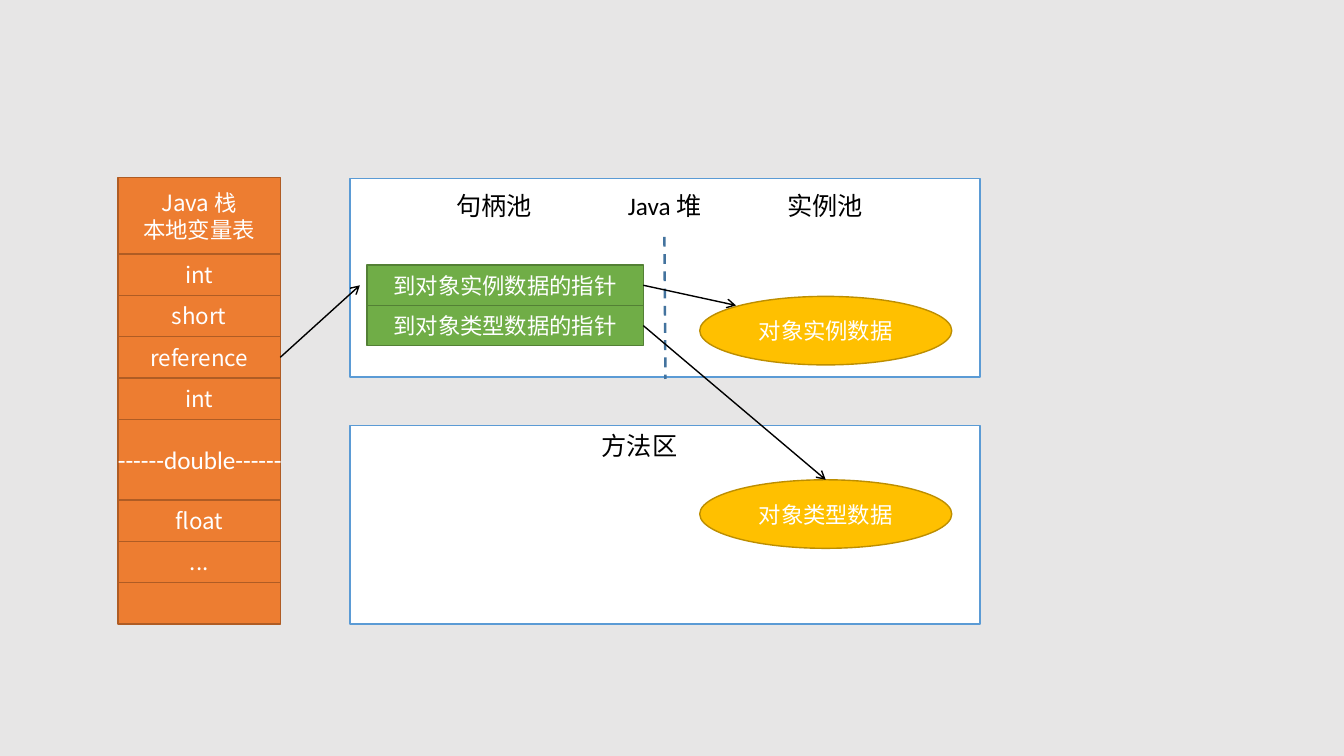
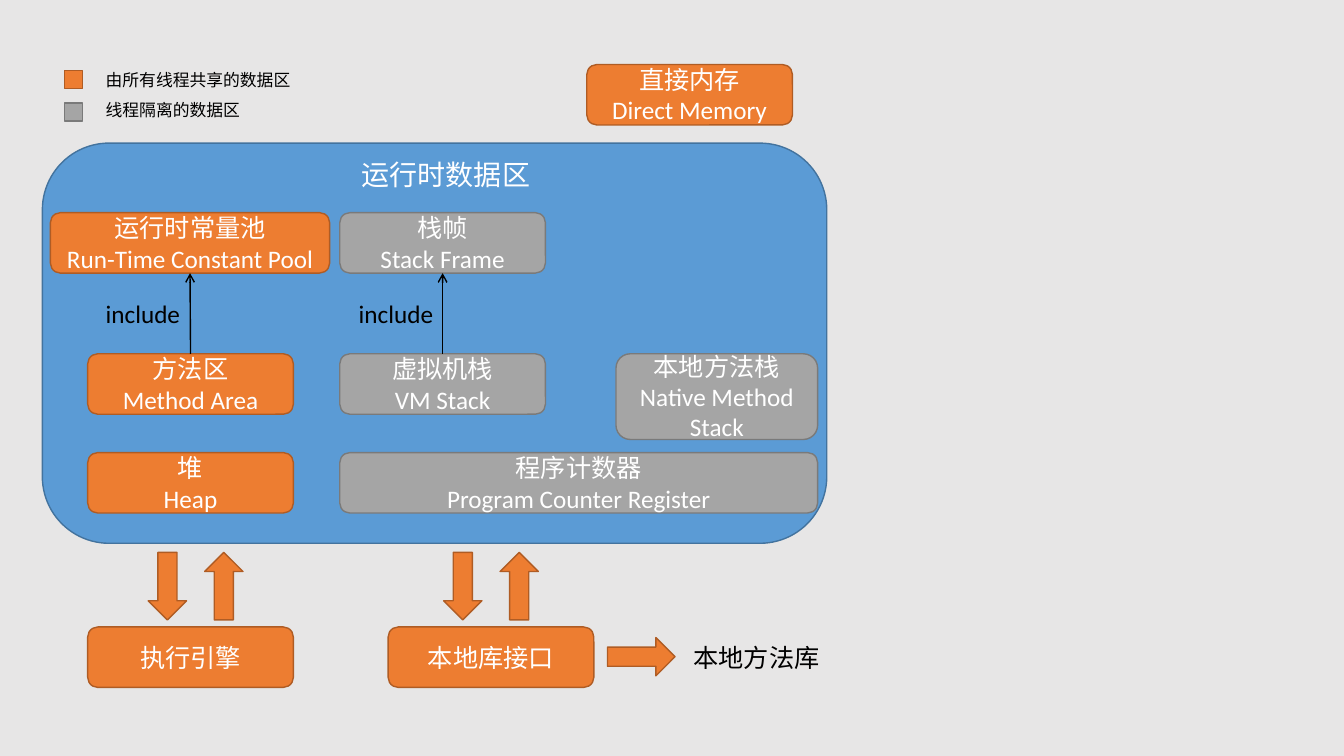
from lxml.etree import SubElement
from pptx import Presentation
from pptx.dml.color import RGBColor
from pptx.enum.dml import MSO_LINE
from pptx.enum.shapes import MSO_CONNECTOR, MSO_SHAPE
from pptx.enum.text import MSO_ANCHOR, PP_ALIGN
from pptx.oxml.ns import qn
from pptx.util import Inches, Pt

BLACK = RGBColor(0x00, 0x00, 0x00)
WHITE = RGBColor(0xFF, 0xFF, 0xFF)
PAPER = RGBColor(0xE7, 0xE6, 0xE6)
BLUE = RGBColor(0x5B, 0x9B, 0xD5)
DARK_BLUE = RGBColor(0x43, 0x73, 0x9E)
ORANGE = (RGBColor(0xED, 0x7D, 0x31), RGBColor(0xAF, 0x5C, 0x24))
GRAY = (RGBColor(0xA5, 0xA5, 0xA5), RGBColor(0x7A, 0x7A, 0x7A))
GREEN = (RGBColor(0x70, 0xAD, 0x47), RGBColor(0x53, 0x80, 0x35))
GOLD = (RGBColor(0xFF, 0xC0, 0x00), RGBColor(0xBD, 0x8E, 0x00))
PANEL = (WHITE, BLUE)
RUNTIME = (BLUE, DARK_BLUE)

LATIN_FONT = "Calibri"
STACK_FONT = "Noto Sans CJK SC"

ROW = 0.41
STACK_LEFT, STACK_TOP, STACK_WIDTH = 1.17, 1.76, 1.61
STACK_ROWS = [
    ("Java 栈\n本地变量表", 0.76), ("int", ROW), ("short", ROW),
    ("reference", ROW), ("int", ROW), ("", 0.8), ("float", ROW),
    ("...", ROW), ("", ROW),
]
REFERENCE_ROW = 3
PANEL_LEFT, PANEL_WIDTH, PANEL_HEIGHT = 3.47, 6.25, 1.97
HEAP_TOP, METHOD_TOP = 1.77, 4.22
HEAP_LABELS = [("句柄池", 4.43, 0.95), ("实例池", 7.71, 0.95)]
HANDLES = ["到对象实例数据的指针", "到对象类型数据的指针"]
HANDLE_LEFT, HANDLE_TOP, HANDLE_WIDTH, HANDLE_HEIGHT = 3.64, 2.63, 2.74, 0.4
OBJECTS = [("对象实例数据", 2.94), ("对象类型数据", 4.76)]

BOX_WIDTH, BOX_HEIGHT = 2.04, 0.6
LEFT_COLUMN, MIDDLE_COLUMN, RIGHT_EDGE = 0.87, 3.37, 8.11
TOP_ROW, AREA_ROW, BOTTOM_ROW, ENGINE_ROW = 2.11, 3.51, 4.49, 6.22
LEGEND = [("由所有线程共享的数据区", ORANGE, 0.7, 0.64, 2.03),
          ("线程隔离的数据区", GRAY, 1.02, 0.94, 1.53)]
BOXES = {
    "method area": ("方法区\nMethod Area", ORANGE, LEFT_COLUMN, AREA_ROW, BOX_WIDTH, BOX_HEIGHT),
    "vm stack": ("虚拟机栈\nVM Stack", GRAY, MIDDLE_COLUMN, AREA_ROW, BOX_WIDTH, BOX_HEIGHT),
    "native stack": ("本地方法栈\nNative Method Stack", GRAY, RIGHT_EDGE - 2, AREA_ROW, 2, 0.85),
    "heap": ("堆\nHeap", ORANGE, LEFT_COLUMN, BOTTOM_ROW, BOX_WIDTH, BOX_HEIGHT),
    "counter": ("程序计数器\nProgram Counter Register", GRAY, MIDDLE_COLUMN, BOTTOM_ROW,
                RIGHT_EDGE - MIDDLE_COLUMN, BOX_HEIGHT),
    "engine": ("执行引擎", ORANGE, LEFT_COLUMN, ENGINE_ROW, BOX_WIDTH, BOX_HEIGHT),
    "library interface": ("本地库接口", ORANGE, 3.85, ENGINE_ROW, BOX_WIDTH, BOX_HEIGHT),
    "stack frame": ("栈帧\nStack Frame", GRAY, MIDDLE_COLUMN, TOP_ROW, BOX_WIDTH, BOX_HEIGHT),
    "constant pool": ("运行时常量池\nRun-Time Constant Pool", ORANGE, 0.5, TOP_ROW, 2.77, BOX_HEIGHT),
    "direct memory": ("直接内存\nDirect Memory", ORANGE, 5.82, 0.64, BOX_WIDTH, BOX_HEIGHT),
}
INCLUDES = [("method area", "constant pool", 0.95), ("vm stack", "stack frame", 3.46)]
ARROW_WIDTH, ARROW_HEIGHT, ARROW_TOP = 0.38, 0.67, 5.48
ARROW_PAIRS = [1.47, 4.4]
BLOCK_ARROWS = [(left + shift, ARROW_TOP, turn)
                for left in ARROW_PAIRS for shift, turn in ((0, 180), (0.56, 0))]
BLOCK_ARROWS.append((6.17, 6.18, 90))


def write(shape, text, size, color, font=LATIN_FONT):
    paragraph = shape.text_frame.paragraphs[0]
    for number, line in enumerate(text.split("\n")):
        if number:
            paragraph.add_line_break()
        run = paragraph.add_run()
        run.text = line
        run.font.name = font
        run.font.size = Pt(size)
        run.font.color.rgb = color
    return paragraph


def add_box(slide, kind, area, colors, text="", size=18, font=LATIN_FONT):
    shape = slide.shapes.add_shape(kind, *map(Inches, area))
    shape.shadow.inherit = False
    shape.fill.solid()
    shape.fill.fore_color.rgb, shape.line.color.rgb = colors
    shape.line.width = Pt(1)
    if text:
        shape.text_frame.vertical_anchor = MSO_ANCHOR.MIDDLE
        write(shape, text, size, WHITE, font).alignment = PP_ALIGN.CENTER
    return shape


def add_label(slide, text, left, top, width, height=0.4, size=18, color=BLACK, wrap=False):
    label = slide.shapes.add_textbox(*map(Inches, (left, top, width, height)))
    label.text_frame.word_wrap = wrap
    write(label, text, size, color)


def add_line(slide, start, end, color=BLACK, width=1, arrow=True):
    line = slide.shapes.add_connector(MSO_CONNECTOR.STRAIGHT, *map(Inches, start + end))
    line.line.color.rgb = color
    line.line.width = Pt(width)
    properties = line._element.spPr
    if arrow:
        SubElement(properties.find(qn("a:ln")), qn("a:tailEnd"), type="arrow")
    else:
        line.line.dash_style = MSO_LINE.DASH
    SubElement(properties, qn("a:effectLst"))
    return line


def build_handle_slide(slide):
    for top in (HEAP_TOP, METHOD_TOP):
        add_box(slide, MSO_SHAPE.RECTANGLE, (PANEL_LEFT, top, PANEL_WIDTH, PANEL_HEIGHT), PANEL)
    add_label(slide, "方法区", 5.87, METHOD_TOP, 0.95)
    add_line(slide, (6.59, 2.35), (6.6, 3.76), DARK_BLUE, 1.75, arrow=False)
    add_label(slide, "Java 堆", 6.13, 1.84, 0.93, wrap=True)
    for text, left, width in HEAP_LABELS:
        add_label(slide, text, left, 1.84, width)
    handles = [
        add_box(slide, MSO_SHAPE.RECTANGLE,
                (HANDLE_LEFT, HANDLE_TOP + number * HANDLE_HEIGHT, HANDLE_WIDTH, HANDLE_HEIGHT),
                GREEN, text, 16)
        for number, text in enumerate(HANDLES)]
    objects = [add_box(slide, MSO_SHAPE.OVAL, (6.94, top, 2.5, 0.68), GOLD, text, 16)
               for text, top in OBJECTS]
    cells, top = [], STACK_TOP
    for text, height in STACK_ROWS:
        cells.append(add_box(slide, MSO_SHAPE.RECTANGLE, (STACK_LEFT, top, STACK_WIDTH, height),
                             ORANGE, text, 16, STACK_FONT))
        top += height
    add_label(slide, "------double------", 1.07, 4.36, 1.92, color=WHITE)
    add_line(slide, (2.78, 3.55), (3.57, 2.83)).begin_connect(cells[REFERENCE_ROW], 3)
    add_line(slide, (6.38, 2.83), (7.3, 3.03)).begin_connect(handles[0], 3)
    type_link = add_line(slide, (6.38, 3.23), (8.19, 4.76))
    type_link.begin_connect(handles[1], 3)
    type_link.end_connect(objects[1], 0)


def build_runtime_slide(slide):
    for text, colors, square_top, label_top, width in LEGEND:
        add_box(slide, MSO_SHAPE.RECTANGLE, (0.64, square_top, 0.18, 0.18), colors)
        add_label(slide, text, 0.95, label_top, width, 0.3, 12)
    add_box(slide, MSO_SHAPE.ROUNDED_RECTANGLE, (0.42, 1.42, 7.78, 3.97), RUNTIME)
    add_label(slide, "运行时数据区", 3.49, 1.51, 1.87, 0.44, 20, WHITE)
    boxes = {name: add_box(slide, MSO_SHAPE.ROUNDED_RECTANGLE, area, colors, text)
             for name, (text, colors, *area) in BOXES.items()}
    add_label(slide, "本地方法库", 6.78, 6.32, 1.45)
    for left, top, turn in BLOCK_ARROWS:
        arrow = add_box(slide, MSO_SHAPE.UP_ARROW, (left, top, ARROW_WIDTH, ARROW_HEIGHT), ORANGE)
        arrow.rotation = turn
    for owner, part, label_left in INCLUDES:
        link = add_line(slide, (0, 0), (1, 1))
        link.begin_connect(boxes[owner], 0)
        link.end_connect(boxes[part], 2)
        add_label(slide, "include", label_left, 2.91, 0.94)


presentation = Presentation()
presentation.slide_width, presentation.slide_height = Inches(13.33), Inches(7.5)
background = presentation.slide_master.background.fill
background.solid()
background.fore_color.rgb = PAPER
blank_layout = presentation.slide_layouts[6]
for build in (build_handle_slide, build_runtime_slide):
    build(presentation.slides.add_slide(blank_layout))
presentation.save("out.pptx")
